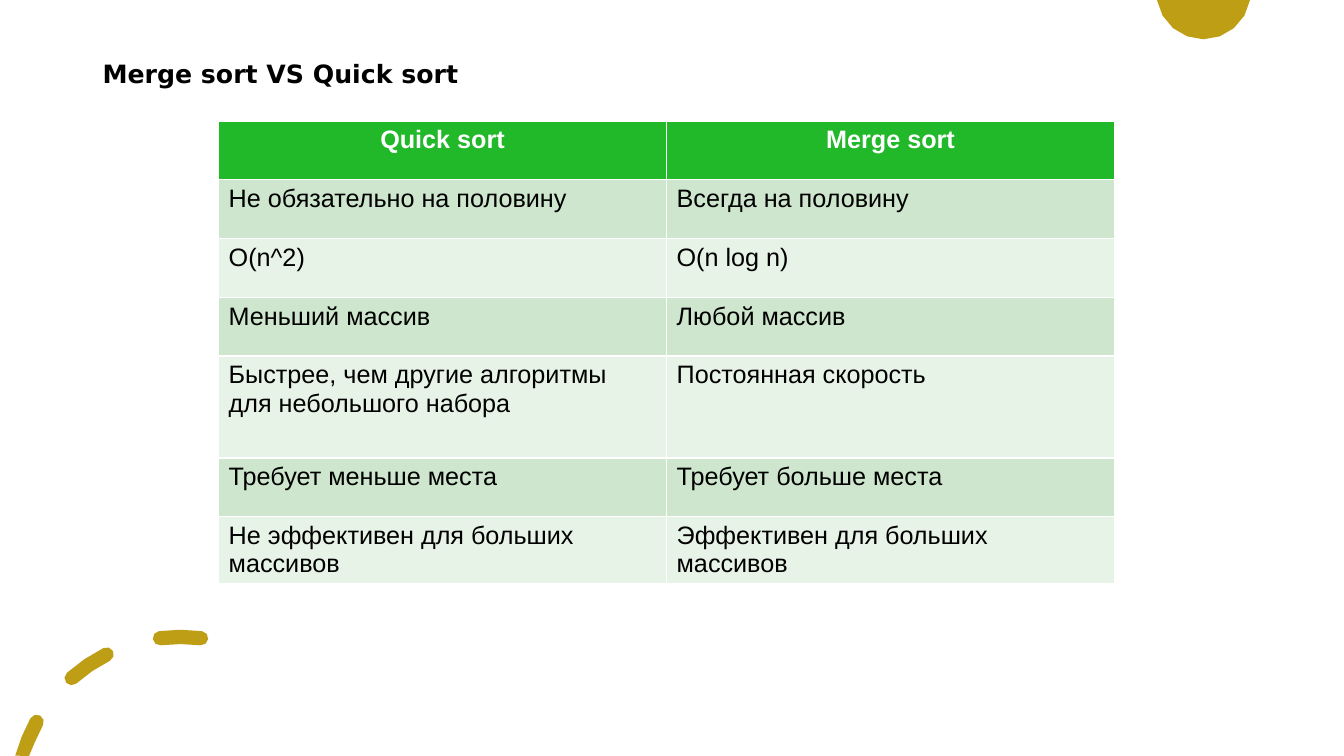
from math import cos, radians, sin

from pptx import Presentation
from pptx.dml.color import RGBColor
from pptx.enum.text import MSO_ANCHOR, PP_ALIGN
from pptx.util import Cm, Pt

LEFT, CENTER = PP_ALIGN.LEFT, PP_ALIGN.CENTER
MIDDLE = MSO_ANCHOR.MIDDLE
WIDE, HIGH = 33.87, 19.05

COLORS = {
    "gold": "BE9E15",
    "head": "21B92A",
    "odd": "CDE6CD",
    "even": "E8F3E8",
    "white": "FFFFFF",
    "black": "000000",
}
TITLE = {"name": "DejaVu Sans", "size": Pt(18), "bold": True}
HEAD = {"name": "Arial", "size": Pt(18), "bold": True}
BODY = {"name": "Arial", "size": Pt(18), "bold": False}

ROWS = [
    ("Quick sort", "Merge sort"),
    ("Не обязательно на половину", "Всегда на половину"),
    ("O(n^2)", "O(n log n)"),
    ("Меньший массив", "Любой массив"),
    ("Быстрее, чем другие алгоритмы для небольшого набора",
     "Постоянная скорость"),
    ("Требует меньше места", "Требует больше места"),
    ("Не эффективен для больших массивов",
     "Эффективен для больших массивов"),
]
ROW_HIGH, TALL_HIGH, TALL_ROW = 1.48, 2.57, 4

# Ring that carries the dashes; angles run from the top to the left
RING = (4.55, 20.19)
RADIUS, HALF = 4.14, 0.18
DASHES = [(61.1, 74.6), (26.7, 41.5), (-7.2, 7.2)]


def color(key):
    return RGBColor.from_string(COLORS[key])


def write(frame, text, style, ink, align):
    para = frame.paragraphs[0]
    para.alignment = align
    run = para.add_run()
    run.text = text
    for key, value in style.items():
        setattr(run.font, key, value)
    run.font.color.rgb = color(ink)
    return para


def spot(mid, radius, angle):
    turn = radians(angle)
    return mid[0] - radius * sin(turn), mid[1] - radius * cos(turn)


def arc(mid, radius, start, end, steps):
    step = (end - start) / steps
    return [spot(mid, radius, start + step * i) for i in range(steps + 1)]


def dash(start, end):
    """Outline of a stroke along the ring, flat where the slide ends."""
    tip, tail = spot(RING, RADIUS, end), spot(RING, RADIUS, start)
    cap = arc(tip, HALF, end, end + 180, 4)[1:-1] if tip[1] < HIGH else []
    return (arc(RING, RADIUS + HALF, start, end, 2) + cap
            + arc(RING, RADIUS - HALF, end, start, 2)
            + arc(tail, HALF, start + 180, start + 360, 4)[1:-1])


def add_form(slide, outlines):
    lines = [[(Cm(x), Cm(min(max(y, 0), HIGH))) for x, y in points]
             for points in outlines]
    form = slide.shapes.build_freeform(*lines[0][0])
    for i, line in enumerate(lines):
        if i:
            form.move_to(*line[0])
        form.add_line_segments(line[1:])
    shape = form.convert_to_shape()
    shape.shadow.inherit = False
    shape.fill.solid()
    shape.fill.fore_color.rgb = color("gold")
    shape.line.fill.background()


def add_title(slide, text):
    title = slide.shapes.title
    title.left, title.top = Cm(2.33), Cm(1.01)
    title.width, title.height = Cm(28.93), Cm(1.76)
    title.text_frame.vertical_anchor = MIDDLE
    para = write(title.text_frame, text, TITLE, "black", LEFT)
    para.line_spacing = 0.9


def fill_cell(cell, text, row):
    cell.fill.solid()
    if row == 0:
        cell.fill.fore_color.rgb = color("head")
        write(cell.text_frame, text, HEAD, "white", CENTER)
    else:
        cell.fill.fore_color.rgb = color("odd" if row % 2 else "even")
        write(cell.text_frame, text, BODY, "black", LEFT)


def add_grid(slide):
    highs = [TALL_HIGH if i == TALL_ROW else ROW_HIGH
             for i in range(len(ROWS))]
    # The default table style draws the white rules
    table = slide.shapes.add_table(
        len(ROWS), len(ROWS[0]), Cm(5.51), Cm(3.05),
        Cm(22.58), Cm(sum(highs))).table
    for i, texts in enumerate(ROWS):
        table.rows[i].height = Cm(highs[i])
        for j, text in enumerate(texts):
            fill_cell(table.cell(i, j), text, i)


def main():
    deck = Presentation()
    deck.slide_width, deck.slide_height = Cm(WIDE), Cm(HIGH)
    slide = deck.slides.add_slide(deck.slide_layouts[5])

    # Gold corner shapes
    add_form(slide, [arc((30.33, -0.2), 1.19, 99.7, 260.3, 8)])
    add_form(slide, [dash(*span) for span in DASHES])

    # Heading and comparison
    add_title(slide, "Merge sort VS Quick sort")
    add_grid(slide)

    deck.save("out.pptx")


if __name__ == "__main__":
    main()
